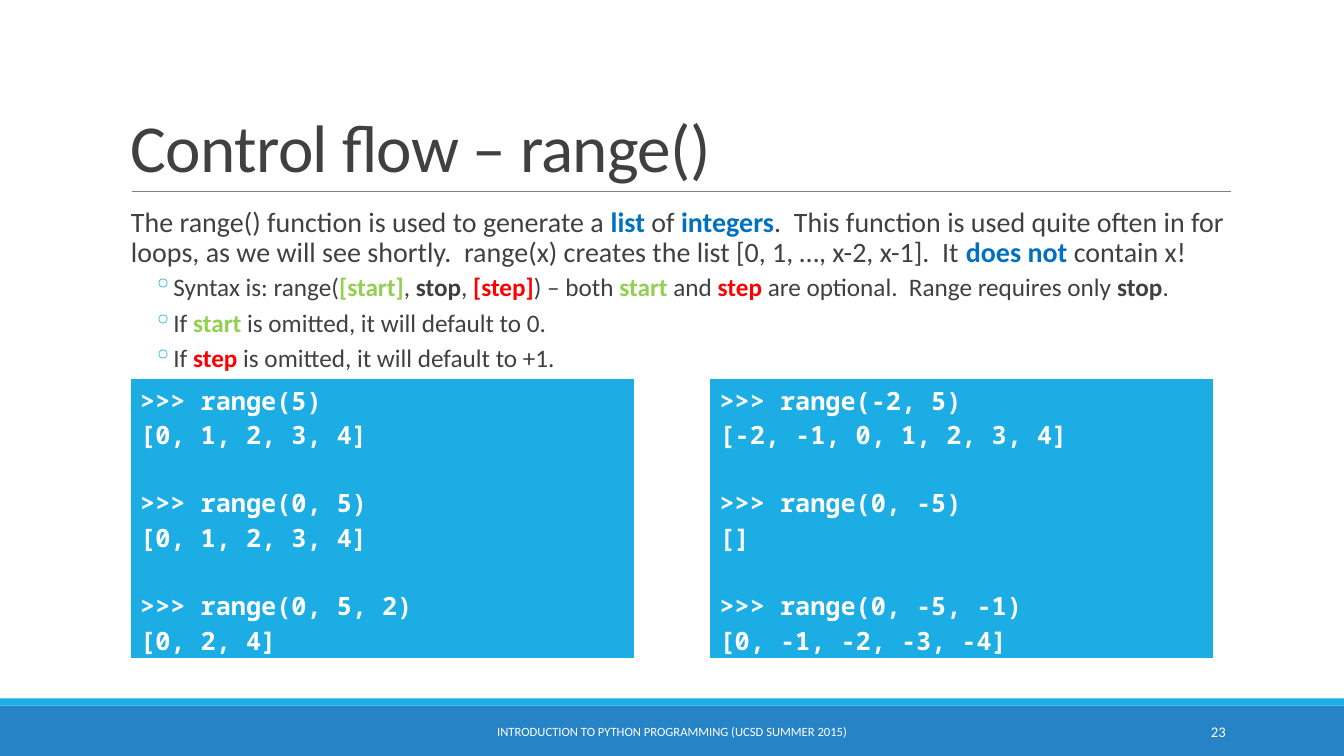
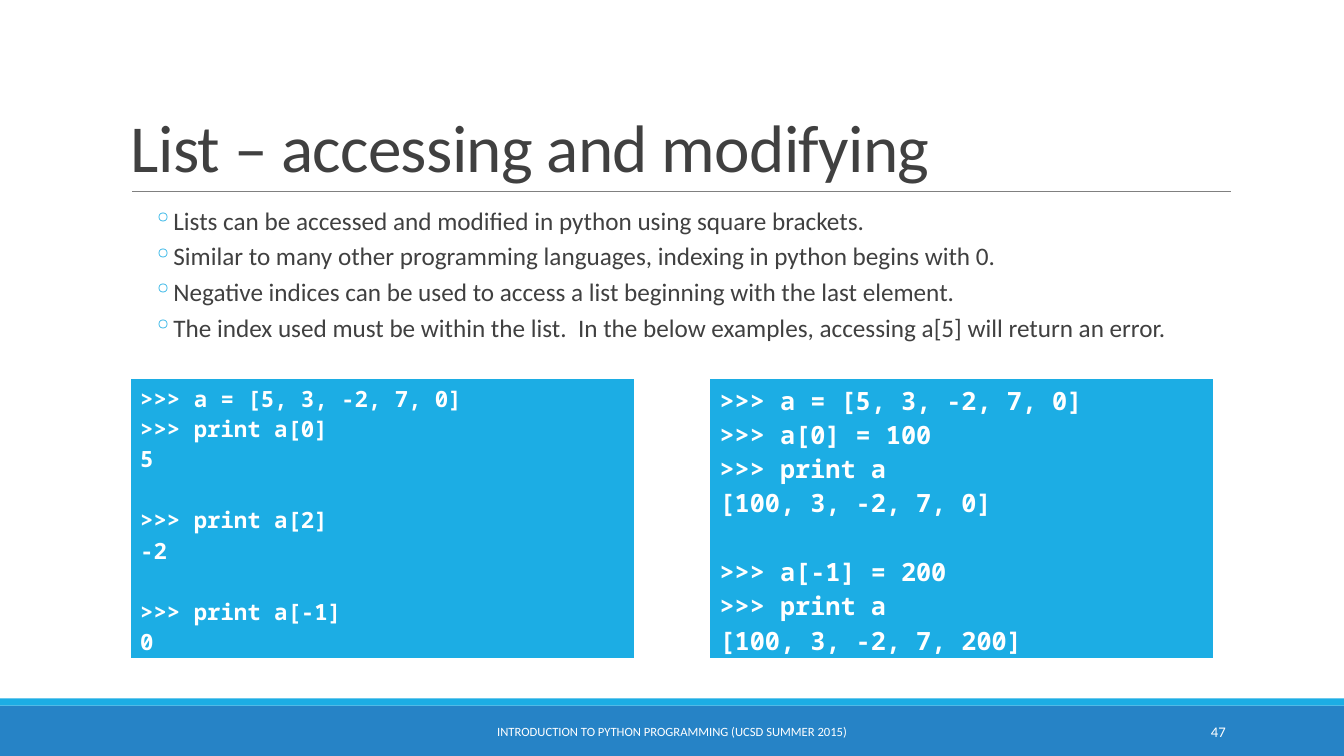
from lxml import etree
from pptx import Presentation
from pptx import util as u
from pptx.dml import color
from pptx.enum import shapes, text
from pptx.oxml import ns

COLORS = {
    "ink": "404040",
    "white": "FFFFFF",
    "cyan": "1CADE4",
    "band": "2683C6",
    "rule": "808080",
    "blue": "0070C0",
    "green": "92D050",
    "red": "FF0000",
}
BODY_FONT = "Calibri"
CODE_FONT = "Noto Sans Mono"
CODE_LINE_HEIGHT = 1.36
FOOTER = "INTRODUCTION TO PYTHON PROGRAMMING (UCSD SUMMER 2015)"
WIDTH, HEIGHT = 33.87, 19.05
CODE_LEFT, CODE_TOP, CODE_WIDTH, CODE_HEIGHT = 3.28, 9.53, 12.7, 7.09
CODE_STEP = 14.6


def rgb(name):
    return color.RGBColor.from_string(COLORS[name])


def add_element(parent, tag, **attributes):
    return etree.SubElement(parent, ns.qn(tag), attributes)


def add_color(parent, name):
    add_element(parent, "a:srgbClr", val=COLORS[name])


def write(paragraph, content, size=18, font=BODY_FONT, ink="ink", bold=False,
          align=text.PP_ALIGN.LEFT, line=None, before=0, after=0,
          bullet=None, tracking=None):
    paragraph.alignment = align
    paragraph.line_spacing = line
    paragraph.space_before = u.Pt(before)
    paragraph.space_after = u.Pt(after)
    if bullet:
        properties = paragraph._p.get_or_add_pPr()
        properties.set("marL", str(u.Cm(1.07)))
        properties.set("indent", str(u.Cm(-0.51)))
        add_color(add_element(properties, "a:buClr"), "cyan")
        add_element(properties, "a:buChar", char=bullet)
    for part in [content] if isinstance(content, str) else content:
        words, accent = (part, None) if isinstance(part, str) else part
        run = paragraph.add_run()
        run.text = words
        run.font.name = font
        run.font.size = u.Pt(size)
        run.font.bold = bold or accent is not None
        run.font.color.rgb = rgb(accent or ink)
        if tracking:
            run._r.get_or_add_rPr().set("spc", str(tracking))


def next_paragraph(frame, index):
    return frame.add_paragraph() if index else frame.paragraphs[0]


def add_box(slide, left, top, width, height, anchor=text.MSO_ANCHOR.TOP):
    shape = slide.shapes.add_textbox(u.Cm(left), u.Cm(top), u.Cm(width), u.Cm(height))
    frame = shape.text_frame
    frame.word_wrap = True
    frame.vertical_anchor = anchor
    return frame


def add_band(slide, top, height, fill):
    shape = slide.shapes.add_shape(
        shapes.MSO_SHAPE.RECTANGLE, 0, u.Cm(top), u.Cm(WIDTH), u.Cm(height))
    shape.shadow.inherit = False
    shape.fill.solid()
    shape.fill.fore_color.rgb = rgb(fill)
    shape.line.fill.background()


def add_rule(slide, left, right, top):
    rule = slide.shapes.add_connector(
        shapes.MSO_CONNECTOR.STRAIGHT, u.Cm(left), u.Cm(top), u.Cm(right), u.Cm(top))
    rule.line.color.rgb = rgb("rule")
    rule.line.width = u.Pt(0.5)
    add_element(rule._element.spPr, "a:effectLst")


def add_frame(presentation, title, number):
    slide = presentation.slides.add_slide(presentation.slide_layouts[6])
    middle = text.MSO_ANCHOR.MIDDLE
    add_band(slide, 17.78, 1.27, "band")
    add_band(slide, 17.6, 0.18, "cyan")
    add_rule(slide, 3.33, 31.01, 4.83)
    heading = add_box(slide, 3.05, 0.79, 27.94, 4.04, text.MSO_ANCHOR.BOTTOM)
    write(heading.paragraphs[0], title, size=48, line=0.85, tracking=-50)
    page = add_box(slide, 27.51, 17.93, 3.63, 1.02, middle)
    write(page.paragraphs[0], str(number), size=10.5, ink="white",
          align=text.PP_ALIGN.RIGHT)
    footer = add_box(slide, 10.24, 17.93, 13.39, 1.02, middle)
    write(footer.paragraphs[0], FOOTER, size=9, ink="white",
          align=text.PP_ALIGN.CENTER)
    return slide


def add_body(slide, bullets, intro=None):
    frame = add_box(slide, 3.3, 5.13, 27.69, 11.18)
    frame.margin_left = frame.margin_right = 0
    if intro:
        write(frame.paragraphs[0], intro, size=20, line=0.9, after=2)
    for index, content in enumerate(bullets, start=1 if intro else 0):
        write(next_paragraph(frame, index), content, line=0.9,
              before=2 if index else 0, after=4, bullet="◦")


def add_borders(cell):
    properties = cell._tc.get_or_add_tcPr()
    for side, points in (("L", 1), ("R", 1), ("T", 1), ("B", 3)):
        border = add_element(properties, "a:ln" + side, w=str(u.Pt(points)))
        add_color(add_element(border, "a:solidFill"), "white")


def add_code(slide, column, groups, size=18):
    table = slide.shapes.add_table(
        1, 1, u.Cm(CODE_LEFT + column * CODE_STEP), u.Cm(CODE_TOP),
        u.Cm(CODE_WIDTH), u.Cm(CODE_HEIGHT)).table
    table.first_row = table.horz_banding = False
    cell = table.cell(0, 0)
    add_borders(cell)
    cell.fill.solid()
    cell.fill.fore_color.rgb = rgb("cyan")
    index = 0
    for group in groups:
        for position, code in enumerate(group):
            gap = size * CODE_LINE_HEIGHT if index and position == 0 else 0
            write(next_paragraph(cell.text_frame, index), code, size=size,
                  font=CODE_FONT, ink="white", bold=True, before=gap)
            index += 1


def add_range_slide(presentation):
    slide = add_frame(presentation, "Control flow – range()", 23)
    start, step, stop = ("start", "green"), ("step", "red"), ("stop", "ink")
    add_body(slide, [
        ["Syntax is: range(", ("[start]", "green"), ", ", stop, ", ", ("[step]", "red"),
         ") – both ", start, " and ", step,
         " are optional.  Range requires only ", stop, "."],
        ["If ", start, " is omitted, it will default to 0."],
        ["If ", step, " is omitted, it will default to +1."],
    ], intro=[
        "The range() function is used to generate a ", ("list", "blue"), " of ",
        ("integers", "blue"),
        ".  This function is used quite often in for loops, as we will see shortly.  "
        "range(x) creates the list [0, 1, …, x-2, x-1].  It ",
        ("does not ", "blue"), "contain x!",
    ])
    add_code(slide, 0, [
        [">>> range(5)", "[0, 1, 2, 3, 4]"],
        [">>> range(0, 5)", "[0, 1, 2, 3, 4]"],
        [">>> range(0, 5, 2)", "[0, 2, 4]"],
    ])
    add_code(slide, 1, [
        [">>> range(-2, 5)", "[-2, -1, 0, 1, 2, 3, 4]"],
        [">>> range(0, -5)", "[]"],
        [">>> range(0, -5, -1)", "[0, -1, -2, -3, -4]"],
    ])


def add_list_slide(presentation):
    slide = add_frame(presentation, "List – accessing and modifying", 47)
    add_body(slide, [
        "Lists can be accessed and modified in python using square brackets.",
        "Similar to many other programming languages, indexing in python begins with 0.",
        "Negative indices can be used to access a list beginning with the last element.",
        "The index used must be within the list.  "
        "In the below examples, accessing a[5] will return an error.",
    ])
    add_code(slide, 0, [
        [">>> a = [5, 3, -2, 7, 0]", ">>> print a[0]", "5"],
        [">>> print a[2]", "-2"],
        [">>> print a[-1]", "0"],
    ], size=16)
    add_code(slide, 1, [
        [">>> a = [5, 3, -2, 7, 0]", ">>> a[0] = 100", ">>> print a",
         "[100, 3, -2, 7, 0]"],
        [">>> a[-1] = 200", ">>> print a", "[100, 3, -2, 7, 200]"],
    ])


def main():
    presentation = Presentation()
    presentation.slide_width = u.Cm(WIDTH)
    presentation.slide_height = u.Cm(HEIGHT)
    add_range_slide(presentation)
    add_list_slide(presentation)
    presentation.save("out.pptx")


if __name__ == "__main__":
    main()
